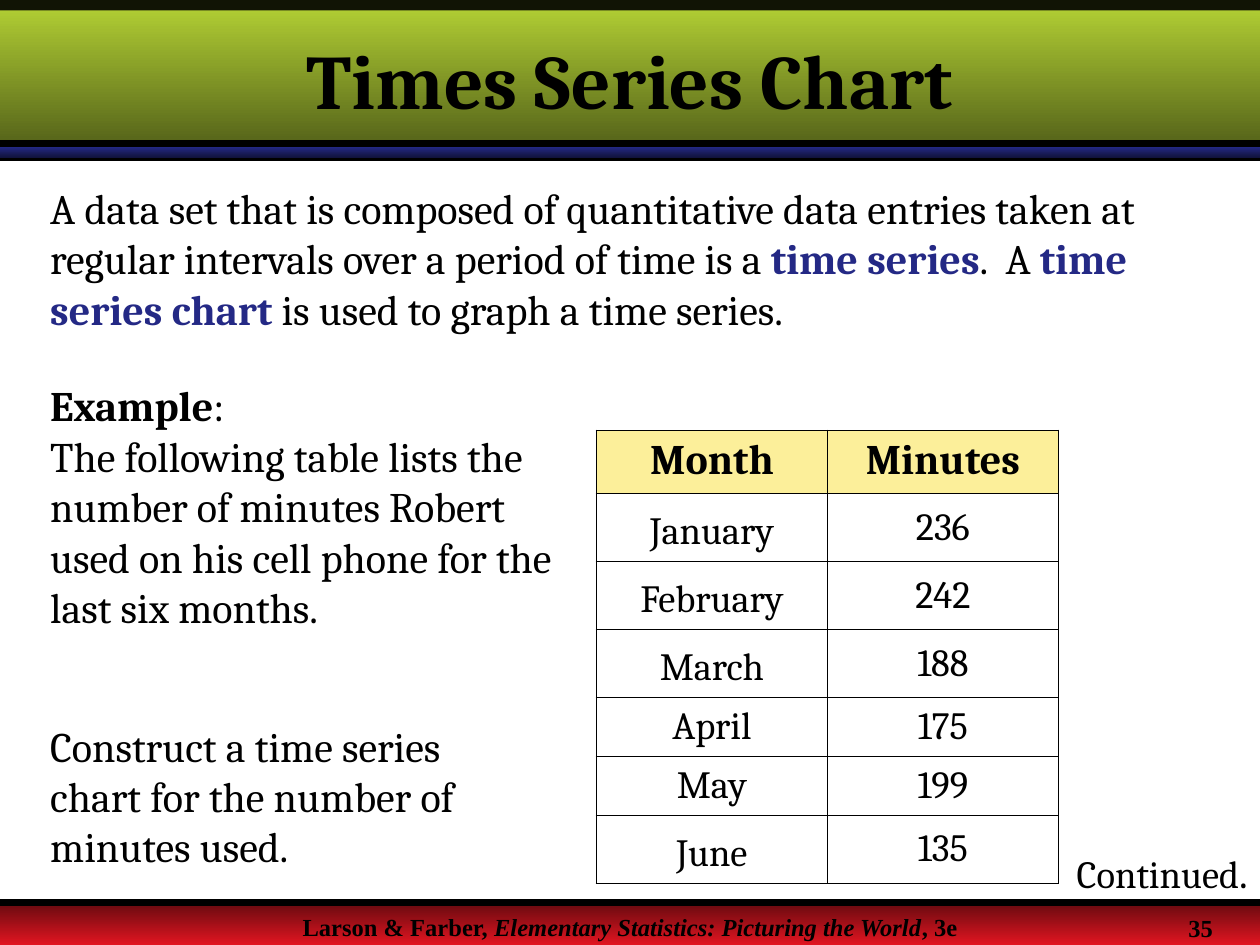
from lxml import etree
from pptx import Presentation
from pptx.dml.color import RGBColor
from pptx.enum import shapes, text
from pptx.oxml import ns
from pptx.util import Inches, Pt

BLACK = RGBColor(0x00, 0x00, 0x00)
NAVY = RGBColor(0x24, 0x29, 0x85)
NAVY_DARK = RGBColor(0x11, 0x13, 0x3E)
LIME = RGBColor(0xB5, 0xD3, 0x35)
OLIVE = RGBColor(0x54, 0x62, 0x19)
RED = RGBColor(0xE1, 0x15, 0x21)
RED_DARK = RGBColor(0x68, 0x0A, 0x0F)
YELLOW = RGBColor(0xFB, 0xE1, 0x36)

LEFT, CENTER, RIGHT = text.PP_ALIGN.LEFT, text.PP_ALIGN.CENTER, text.PP_ALIGN.RIGHT
FIT, FIXED = text.MSO_AUTO_SIZE.SHAPE_TO_FIT_TEXT, text.MSO_AUTO_SIZE.NONE
COLS, ROWS = 120, 90  # grid of the whole slide

BODY = dict(name="Cambria", size=Pt(24), bold=False)
TERM = dict(BODY, bold=True)
CELL = dict(BODY, size=Pt(22))
TITLE = dict(TERM, size=Pt(44))
FOOTER = dict(name="Times New Roman", size=Pt(14), bold=True)


class Deck:
    """Holds the presentation, its grid and the current slide."""

    def __init__(self):
        self.prs = Presentation()
        self.prs.slide_width, self.prs.slide_height = Inches(10), Inches(7.5)
        self.s = self.prs.slides.add_slide(self.prs.slide_layouts[5])

    def x(self, cols):
        return round(self.prs.slide_width * cols / COLS)

    def y(self, rows):
        return round(self.prs.slide_height * rows / ROWS)

    def box(self, col, row, cols, rows):
        return self.x(col), self.y(row), self.x(cols), self.y(rows)

    def tint(self, fill, props, color, opacity):
        fill.solid()
        fill.fore_color.rgb = color
        clr = props.xpath("./a:solidFill/a:srgbClr")[0]
        etree.SubElement(clr, ns.qn("a:alpha"), val=str(opacity * 1000))

    def add_runs(self, p, runs, align=LEFT, **spacing):
        p.alignment = align
        for key, value in spacing.items():
            setattr(p, key, value)
        for words, style, color in runs:
            r = p.add_run()
            r.text = words
            for key, value in style.items():
                setattr(r.font, key, value)
            r.font.color.rgb = color

    def band(self, row, rows, *colors, opacity=100):
        sp = self.s.shapes.add_shape(shapes.MSO_SHAPE.RECTANGLE, *self.box(0, row, COLS, rows))
        sp.shadow.inherit = False
        sp.line.fill.background()
        if len(colors) == 1:
            self.tint(sp.fill, sp._element.spPr, colors[0], opacity)
        else:
            sp.fill.gradient()
            sp.fill.gradient_angle = 270
            for stop, color in zip(sp.fill.gradient_stops, colors):
                stop.color.rgb = color

    def rule(self, row):
        y = self.y(row)
        line = self.s.shapes.add_connector(shapes.MSO_CONNECTOR.STRAIGHT, 0, y, self.x(COLS), y)
        line.line.color.rgb = BLACK
        line.line.width = Pt(4)
        etree.SubElement(line._element.spPr, ns.qn("a:effectLst"))

    def title(self, words, place):
        sp = self.s.shapes.title
        sp.left, sp.top, sp.width, sp.height = self.box(*place)
        self.s.shapes._spTree.append(sp._element)  # above the bands
        sp.text_frame.vertical_anchor = text.MSO_ANCHOR.MIDDLE
        self.add_runs(sp.text_frame.paragraphs[0], [(words, TITLE, BLACK)], CENTER)

    def text(self, place, *paragraphs, align=LEFT, wrap=True, fit=FIT):
        tf = self.s.shapes.add_textbox(*self.box(*place)).text_frame
        tf.word_wrap, tf.auto_size = wrap, fit
        for i, runs in enumerate(paragraphs):
            self.add_runs(tf.add_paragraph() if i else tf.paragraphs[0], runs, align)

    def borders(self, cell, widths):
        tcPr = cell._tc.get_or_add_tcPr()
        for side in "LRTB":
            ln = etree.SubElement(tcPr, ns.qn("a:ln" + side), w=str(Pt(widths[side])))
            fill = etree.SubElement(ln, ns.qn("a:solidFill"))
            etree.SubElement(fill, ns.qn("a:srgbClr"), val=str(BLACK))

    def table(self, place, heights, data, tall_words):
        tbl = self.s.shapes.add_table(len(data), len(data[0]), *self.box(*place)).table
        tbl.first_row = tbl.horz_banding = False
        for row, height in zip(tbl.rows, heights):
            row.height = self.y(height)
        for i, entries in enumerate(data):
            for j, words in enumerate(entries):
                cell, head = tbl.cell(i, j), i == 0
                outer = dict(L=j == 0, R=j == len(entries) - 1, T=head, B=i == len(data) - 1)
                self.borders(cell, {side: 1.08 if edge else 0.45 for side, edge in outer.items()})
                if head:
                    self.tint(cell.fill, cell._tc.tcPr, YELLOW, 50)
                else:
                    cell.fill.background()
                    cell.vertical_anchor = text.MSO_ANCHOR.MIDDLE
                if words in tall_words:
                    spacing = dict(line_spacing=1.2)
                else:
                    spacing = dict(space_before=Pt(6 if head else 5.5))
                style = TERM if head else CELL
                self.add_runs(cell.text_frame.paragraphs[0], [(words, style, BLACK)],
                              CENTER, **spacing)


def main():
    deck = Deck()

    # Footer and header bands
    deck.band(86, 4, RED_DARK, RED)
    deck.rule(15)
    deck.text((0, 86.3, COLS, 2.4),
              [("Larson & Farber, ", FOOTER, BLACK),
               ("Elementary Statistics: Picturing the World", dict(FOOTER, italic=True), BLACK),
               (", 3e", FOOTER, BLACK)],
              align=CENTER, fit=FIXED)
    deck.band(14, 1, NAVY, NAVY_DARK)
    deck.band(0, 14, LIME, OLIVE)
    deck.rule(86)
    deck.band(0, 1, BLACK, opacity=90)
    deck.rule(13.7)
    deck.text((112, 86.4, 13, 4), [("35", FOOTER, BLACK)], wrap=False)

    # Title and definition
    deck.title("Times Series Chart", (0, 1, COLS, 13))
    deck.text((3.6, 16.8, 115.2, 15.6),
              [("A data set that is composed of quantitative data entries taken at regular "
                "intervals over a period of time is a ", BODY, BLACK),
               ("time series", TERM, NAVY),
               (".  A ", BODY, BLACK),
               ("time series chart ", TERM, NAVY),
               ("is used to graph a time series.", BODY, BLACK)])

    # Example
    deck.text((3.6, 35.6, 52, 30),
              [("Example", TERM, BLACK), (":", BODY, BLACK)],
              [("The following table lists the number of minutes Robert used on his cell "
                "phone for the last six months.", BODY, BLACK)])
    deck.text((93, 80, 27, 6), [("Continued", CELL, BLACK), (".", BODY, BLACK)], align=RIGHT)

    # Minutes by month
    deck.table((56.8, 41, 44, 39.8), (5.5, 6, 6, 6, 5.2, 5.2, 6),
               [("Month", "Minutes"), ("January", "236"), ("February", "242"), ("March", "188"),
                ("April", "175"), ("May", "199"), ("June", "135")],
               tall_words={"January", "February", "March", "June"})

    # Task
    deck.text((3.6, 68, 49, 15.6),
              [("Construct a time series chart for the number of minutes used.", BODY, BLACK)])

    deck.prs.save("out.pptx")


if __name__ == "__main__":
    main()
